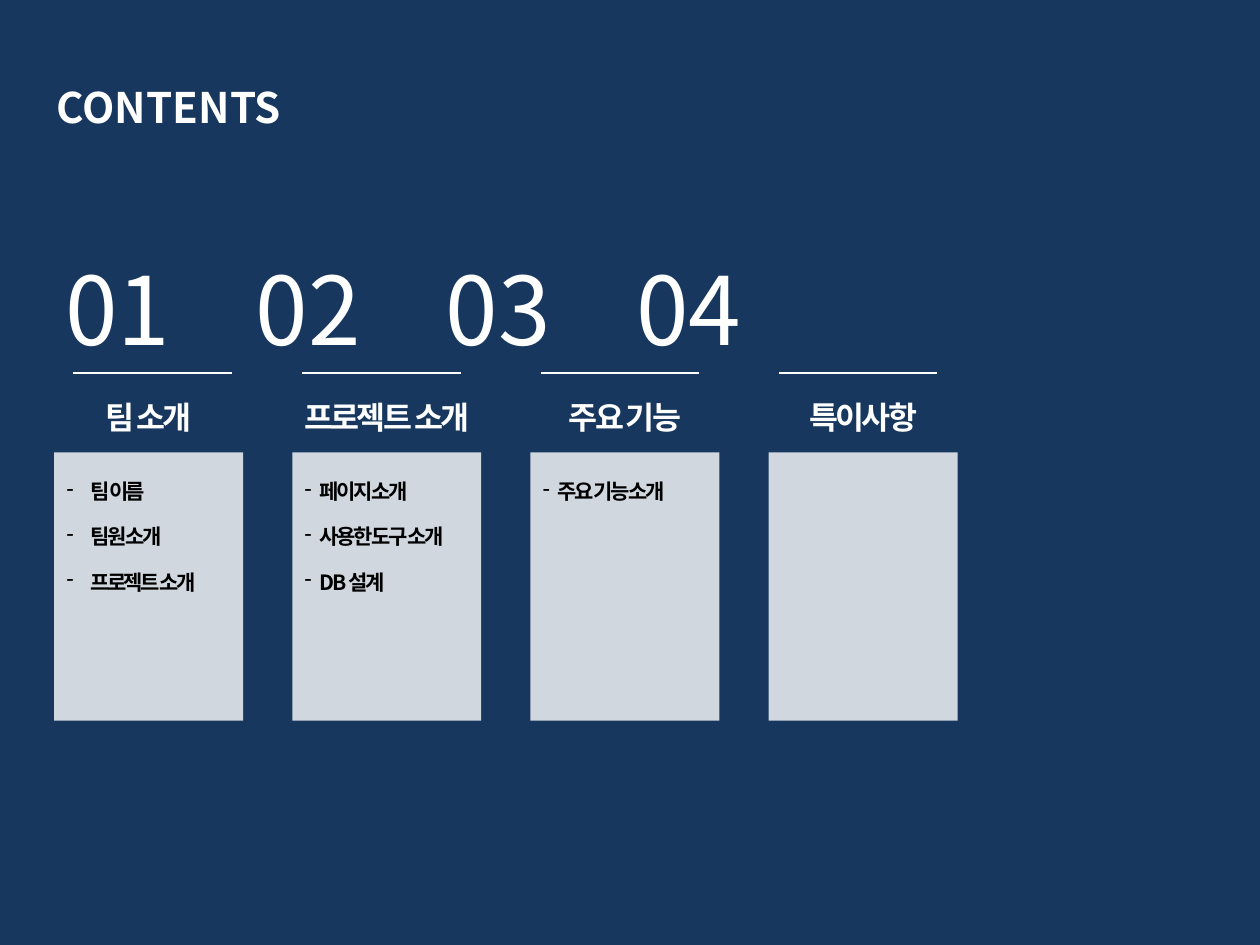
import pptx
import pptx.util
import pptx.dml.color
import pptx.enum.shapes
import pptx.enum.text
import pptx.oxml.ns
import lxml.etree

Inches, Pt = pptx.util.Inches, pptx.util.Pt
ALIGN = pptx.enum.text.PP_ALIGN
qn = pptx.oxml.ns.qn

COLORS = {"navy": "17375E", "white": "FFFFFF", "black": "000000"}
SANS, ARIAL = "Noto Sans CJK KR", "Arial"
TITLE = "CONTENTS"
SECTIONS = [
    {"number": "01", "heading": "팀 소개", "rule_inset": 0.15, "hang": 0.19,
     "items": ["팀 이름", "팀원 소개", "프로젝트 소개"]},
    {"number": "02", "heading": "프로젝트 소개", "rule_inset": 0.08, "hang": 0.12,
     "items": ["페이지 소개", "사용한 도구 소개", "DB 설계"]},
    {"number": "03", "heading": "주요 기능", "rule_inset": 0.08, "hang": 0.12,
     "items": ["주요 기능 소개"]},
    {"number": "04", "heading": "특이사항", "rule_inset": 0.08, "hang": 0.12,
     "items": []},
]
CARD_LEFT, CARD_TOP, CARD_WIDTH, CARD_HEIGHT, CARD_PITCH = 0.43, 3.59, 1.5, 2.13, 1.89
RULE_TOP, RULE_WIDTH = 2.96, 1.26
HEADING_WIDTH = 1.81
NUMBER_PITCH = 1.51


def rgb(name):
    return pptx.dml.color.RGBColor.from_string(COLORS[name])


def style(paragraph, size, color, face=SANS, bold=False, spacing=0):
    font = paragraph.font
    font.size, font.bold, font.name = Pt(size), bold, face
    font.color.rgb = rgb(color)
    properties = paragraph._p.pPr.find(qn("a:defRPr"))
    properties.set("spc", str(int(spacing * 100)))
    lxml.etree.SubElement(properties, qn("a:ea")).set("typeface", SANS)
    return properties


def add_text(slide, left, top, width, height, lines):
    frame = slide.shapes.add_textbox(
        Inches(left), Inches(top), Inches(width), Inches(height)).text_frame
    frame.word_wrap = True
    frame.auto_size = pptx.enum.text.MSO_AUTO_SIZE.SHAPE_TO_FIT_TEXT
    frame.text = "\n".join(lines)
    return frame.paragraphs


def add_title(slide):
    title = slide.shapes.title
    title.left, title.top = Inches(0.35), Inches(0.6)
    title.width, title.height = Inches(4.57), Inches(0.5)
    frame = title.text_frame
    frame.text = TITLE
    frame.vertical_anchor = pptx.enum.text.MSO_ANCHOR.TOP
    frame.auto_size = pptx.enum.text.MSO_AUTO_SIZE.NONE
    frame.paragraphs[0].alignment = ALIGN.LEFT
    style(frame.paragraphs[0], 24, "white", bold=True)


def add_numbers(slide):
    numbers = [section["number"] for section in SECTIONS]
    paragraph = add_text(slide, 0.42, 1.94, 9.29, 1.01, ["\t".join(numbers)])[0]
    properties = style(paragraph, 54, "white")
    stops = lxml.etree.Element(qn("a:tabLst"))
    for index in range(1, len(numbers)):
        stop = lxml.etree.SubElement(stops, qn("a:tab"))
        stop.set("pos", str(Inches(NUMBER_PITCH * index)))
        stop.set("algn", "l")
    properties.addprevious(stops)


def add_card(slide, left):
    card = slide.shapes.add_shape(
        pptx.enum.shapes.MSO_SHAPE.RECTANGLE, Inches(left), Inches(CARD_TOP),
        Inches(CARD_WIDTH), Inches(CARD_HEIGHT))
    card.shadow.inherit = False
    card.fill.solid()
    card.fill.fore_color.rgb = rgb("white")
    card.line.fill.background()
    color = card._element.spPr.find(qn("a:solidFill"))[0]
    lxml.etree.SubElement(color, qn("a:alpha")).set("val", "80000")


def add_rule(slide, left):
    rule = slide.shapes.add_connector(
        pptx.enum.shapes.MSO_CONNECTOR.STRAIGHT, Inches(left), Inches(RULE_TOP),
        Inches(left + RULE_WIDTH), Inches(RULE_TOP))
    rule.line.color.rgb = rgb("white")
    rule.line.width = Pt(0.75)
    lxml.etree.SubElement(rule._element.spPr, qn("a:effectLst"))


def add_items(slide, left, items, hang):
    paragraphs = add_text(slide, left, 3.75, CARD_WIDTH, 0.4 * len(items), items)
    for index, paragraph in enumerate(paragraphs):
        paragraph.space_before = Pt(11.5 if index else 0)
        properties = style(paragraph, 12, "black", bold=True, spacing=-1.5)
        indent = Inches(hang)
        paragraph._p.pPr.set("marL", str(indent))
        paragraph._p.pPr.set("indent", str(-indent))
        bullet = lxml.etree.Element(qn("a:buChar"))
        bullet.set("char", "-")
        properties.addprevious(bullet)


def add_section(slide, index, section):
    left = CARD_LEFT + CARD_PITCH * index
    add_card(slide, left)
    add_rule(slide, left + section["rule_inset"])
    heading = add_text(slide, left + (CARD_WIDTH - HEADING_WIDTH) / 2, 3.11,
                       HEADING_WIDTH, 0.4, [section["heading"]])[0]
    heading.alignment = ALIGN.CENTER
    style(heading, 18, "white", ARIAL, True, -1.5)
    if section["items"]:
        add_items(slide, left, section["items"], section["hang"])


def main():
    deck = pptx.Presentation()
    deck.slide_width, deck.slide_height = Inches(10), Inches(7.5)
    slide = deck.slides.add_slide(deck.slide_layouts[5])
    slide.background.fill.solid()
    slide.background.fill.fore_color.rgb = rgb("navy")
    add_title(slide)
    add_numbers(slide)
    for index, section in enumerate(SECTIONS):
        add_section(slide, index, section)
    deck.save("out.pptx")


if __name__ == "__main__":
    main()
